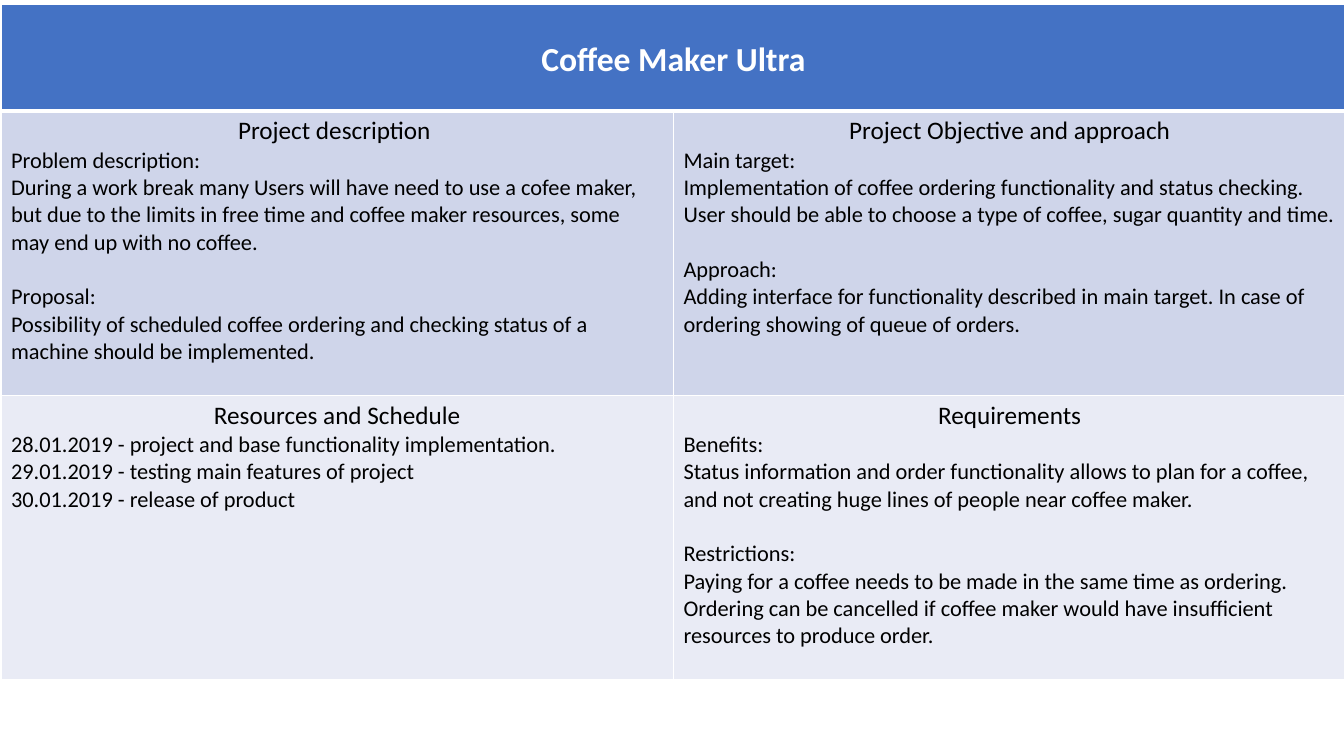
from dataclasses import dataclass

from lxml.etree import SubElement
from pptx import Presentation
from pptx.dml.color import RGBColor
from pptx.enum.text import PP_ALIGN
from pptx.oxml.ns import qn
from pptx.table import _Cell
from pptx.text.text import _Paragraph
from pptx.util import Inches, Pt

WHITE = RGBColor(0xFF, 0xFF, 0xFF)
BLACK = RGBColor(0x00, 0x00, 0x00)
BLUE = RGBColor(0x44, 0x72, 0xC4)
LIGHT_BLUE = RGBColor(0xCF, 0xD5, 0xEA)
PALE_BLUE = RGBColor(0xE9, 0xEB, 0xF5)
FONT = "Calibri"
ROW_FILLS = [BLUE, LIGHT_BLUE, PALE_BLUE]
ROW_HEIGHTS = [1.06, 2.82, 2.82]
COL_WIDTH = 6.67
BLOCK_GAP = Pt(19.5)


@dataclass
class Section:
    row: int
    col: int
    heading: str
    blocks: list[list[str]]


SECTIONS = [
    Section(1, 0, "Project description\u00a0", [
        ["Problem description:\u00a0",
         "During a work\u00a0break many Users will have need to use a cofee maker, "
         "but due to the limits in free time and coffee maker resources, some "
         "may end up with no coffee."],
        ["Proposal:",
         "Possibility of scheduled coffee ordering and checking status of a "
         "machine should be implemented."],
    ]),
    Section(1, 1, "Project Objective and approach", [
        ["Main target:",
         "Implementation of coffee ordering functionality and status checking.\v"
         "User should be able to choose a type of coffee, sugar quantity and time."],
        ["Approach:",
         "Adding interface for functionality described in main target. In case of "
         "ordering showing of queue of orders."],
    ]),
    Section(2, 0, "Resources and Schedule", [
        ["28.01.2019 - project and base functionality implementation.",
         "29.01.2019 - testing main features of project",
         "30.01.2019 - release of product"],
    ]),
    Section(2, 1, "Requirements", [
        ["Benefits:",
         "Status information and order functionality allows to plan for a coffee, "
         "and not creating huge lines of people near coffee maker."],
        ["Restrictions:",
         "Paying for a coffee needs to be made in the same time as ordering. "
         "Ordering can be cancelled if coffee maker would have insufficient "
         "resources to produce order."],
    ]),
]


def write(p: _Paragraph, text: str, size: int, color: RGBColor = BLACK,
          bold: bool = False, align: PP_ALIGN = PP_ALIGN.LEFT) -> None:
    p.text = text
    p.alignment = align
    p.font.name = FONT
    p.font.size = Pt(size)
    p.font.bold = bold
    p.font.color.rgb = color


def style_cell(cell: _Cell, row: int) -> None:
    widths = {"lnL": 1, "lnR": 1, "lnT": 3 if row == 1 else 1, "lnB": 3 if row == 0 else 1}
    tcPr = cell._tc.get_or_add_tcPr()
    for tag, width in widths.items():
        ln = SubElement(tcPr, qn(f"a:{tag}"), w=str(Pt(width)))
        fill = SubElement(ln, qn("a:solidFill"))
        SubElement(fill, qn("a:srgbClr"), val=str(WHITE))
    cell.fill.solid()
    cell.fill.fore_color.rgb = ROW_FILLS[row]


def fill_section(cell: _Cell, section: Section) -> None:
    tf = cell.text_frame
    write(tf.paragraphs[0], section.heading, 18, align=PP_ALIGN.CENTER)
    for b, block in enumerate(section.blocks):
        for i, line in enumerate(block):
            p = tf.add_paragraph()
            write(p, line, 16)
            if b > 0 and i == 0:
                p.space_before = BLOCK_GAP


prs = Presentation()
prs.slide_width = Inches(13.33)
prs.slide_height = Inches(7.5)
s = prs.slides.add_slide(prs.slide_layouts[6])

table = s.shapes.add_table(3, 2, Inches(0.01), Inches(0.04),
                           Inches(2 * COL_WIDTH), Inches(sum(ROW_HEIGHTS))).table
for column in table.columns:
    column.width = Inches(COL_WIDTH)
for r, height in enumerate(ROW_HEIGHTS):
    table.rows[r].height = Inches(height)
    for cell in table.rows[r].cells:
        style_cell(cell, r)

title = table.cell(0, 0)
title.merge(table.cell(0, 1))
title.margin_top = Inches(0.35)
write(title.text_frame.paragraphs[0], "Coffee Maker Ultra", 24, WHITE, True, PP_ALIGN.CENTER)

for section in SECTIONS:
    fill_section(table.cell(section.row, section.col), section)

prs.save("out.pptx")
